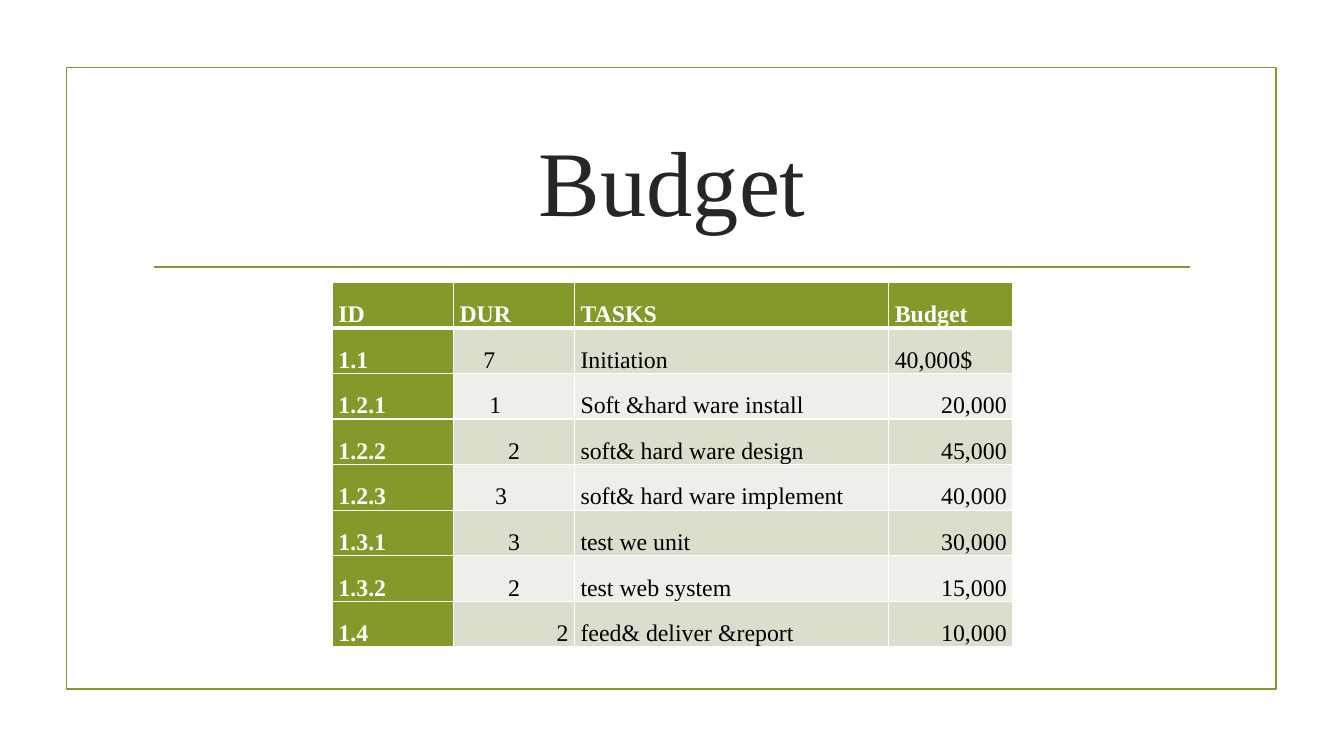
import pptx
import pptx.dml.color
import pptx.enum.shapes
import pptx.enum.text
import pptx.oxml
import pptx.oxml.ns
import pptx.util

Cm = pptx.util.Cm
Pt = pptx.util.Pt
ALIGN = pptx.enum.text.PP_ALIGN
ANCHOR = pptx.enum.text.MSO_ANCHOR

FONT = "Times New Roman"
GREEN, WHITE, BLACK, DARK = "83992A", "FFFFFF", "000000", "262626"
BANDS = ("D9DECD", "EDEFE8")
COLUMN_WIDTHS = (3.05, 3.05, 7.92, 3.12)
ROW_HEIGHT = 1.15
CELL_MARGIN = 0.15
HEADER = ("ID", "DUR", "TASKS", "Budget")
TASKS = (
    ("1.1", "7", "Initiation", "40,000$"),
    ("1.2.1", "1", "Soft &hard ware install", "20,000"),
    ("1.2.2", "2", "soft& hard ware design", "45,000"),
    ("1.2.3", "3", "soft& hard ware implement", "40,000"),
    ("1.3.1", "3", "test we unit", "30,000"),
    ("1.3.2", "2", "test web system", "15,000"),
    ("1.4", "2", "feed& deliver &report", "10,000"),
)
DURATION_INDENTS = {1: 0.6, 2: 0.75, 4: 0.9}
ALIGNMENTS = {(row, 1): ALIGN.CENTER for row in (3, 5, 6)}
ALIGNMENTS |= {(row, 3): ALIGN.RIGHT for row in range(2, 8)}
ALIGNMENTS[7, 1] = ALIGN.RIGHT


def color(hex_value):
    """Return the colour for a hex string."""
    return pptx.dml.color.RGBColor.from_string(hex_value)


def apply_format(target, values):
    """Set each attribute in values on the target."""
    for name, value in values.items():
        setattr(target, name, value)


def write_text(para, text, size, font_color, bold=False):
    """Add one formatted span of text to a paragraph."""
    span = para.add_run()
    span.text = text
    apply_format(span.font, {"name": FONT, "size": Pt(size), "bold": bold})
    span.font.color.rgb = color(font_color)


def format_line(line):
    """Give a line the green stroke shared by frame and rule."""
    line.color.rgb = color(GREEN)
    line.width = Pt(1.25)


def add_frame(page):
    """Draw the unfilled border around the page."""
    frame = page.shapes.add_shape(
        pptx.enum.shapes.MSO_SHAPE.RECTANGLE, Cm(1.68), Cm(1.7), Cm(30.48), Cm(15.67))
    frame.shadow.inherit = False
    frame.fill.background()
    format_line(frame.line)


def add_rule(page):
    """Draw the horizontal line below the title."""
    rule = page.shapes.add_connector(
        pptx.enum.shapes.MSO_CONNECTOR.STRAIGHT, Cm(3.89), Cm(6.73), Cm(30), Cm(6.73))
    format_line(rule.line)
    properties = rule._element.spPr
    properties.append(properties.makeelement(pptx.oxml.ns.qn("a:effectLst"), {}))


def set_title(page, text):
    """Move and format the title placeholder."""
    title = page.shapes.title
    apply_format(title, {"left": Cm(3.61), "top": Cm(2.72),
                         "width": Cm(26.67), "height": Cm(3.63)})
    apply_format(title.text_frame, {"vertical_anchor": ANCHOR.MIDDLE, "word_wrap": True,
                                    "auto_size": pptx.enum.text.MSO_AUTO_SIZE.NONE})
    para = title.text_frame.paragraphs[0]
    para.alignment = ALIGN.CENTER
    write_text(para, text, 66, DARK)


def set_borders(cell, widths):
    """Add white cell borders with the given widths in points by side."""
    properties = cell._tc.get_or_add_tcPr()
    for side, width in widths.items():
        properties.append(pptx.oxml.parse_xml(
            f'<a:ln{side} {pptx.oxml.ns.nsdecls("a")} w="{Pt(width)}"><a:solidFill>'
            f'<a:srgbClr val="{WHITE}"/></a:solidFill></a:ln{side}>'))


def fill_cell(cell, text, row, column):
    """Format one table cell according to its place."""
    heading = row == 0 or column == 0
    indent = DURATION_INDENTS.get(row, 0) if column == 1 else 0
    apply_format(cell, {"margin_left": Cm(CELL_MARGIN + indent),
                        "margin_right": Cm(CELL_MARGIN), "margin_top": 0,
                        "margin_bottom": 0, "vertical_anchor": ANCHOR.BOTTOM})
    set_borders(cell, {"L": 1, "R": 1, "T": 3 if row == 1 else 1,
                       "B": 3 if row == 0 else 1})
    cell.fill.solid()
    cell.fill.fore_color.rgb = color(GREEN if heading else BANDS[(row - 1) % 2])
    para = cell.text_frame.paragraphs[0]
    apply_format(para, {"alignment": ALIGNMENTS.get((row, column), ALIGN.LEFT),
                        "line_spacing": 1.07})
    write_text(para, text, 17, WHITE if heading else BLACK, heading)


def add_budget_table(page):
    """Add the table of tasks and their budgets."""
    rows = (HEADER, *TASKS)
    table = page.shapes.add_table(
        len(rows), len(HEADER), Cm(8.38), Cm(7.11),
        Cm(sum(COLUMN_WIDTHS)), Cm(ROW_HEIGHT * len(rows))).table
    apply_format(table, {"first_row": True, "first_col": True, "horz_banding": False})
    for column, width in zip(table.columns, COLUMN_WIDTHS):
        column.width = Cm(width)
    for row, texts in enumerate(rows):
        table.rows[row].height = Cm(ROW_HEIGHT)
        for column, text in enumerate(texts):
            fill_cell(table.cell(row, column), text, row, column)


def main():
    """Build the budget slide and save the deck."""
    deck = pptx.Presentation()
    apply_format(deck, {"slide_width": Cm(33.87), "slide_height": Cm(19.05)})
    page = deck.slides.add_slide(deck.slide_layouts.get_by_name("Title Only"))
    add_frame(page)
    add_rule(page)
    set_title(page, "Budget")
    add_budget_table(page)
    deck.save("out.pptx")


if __name__ == "__main__":
    main()
